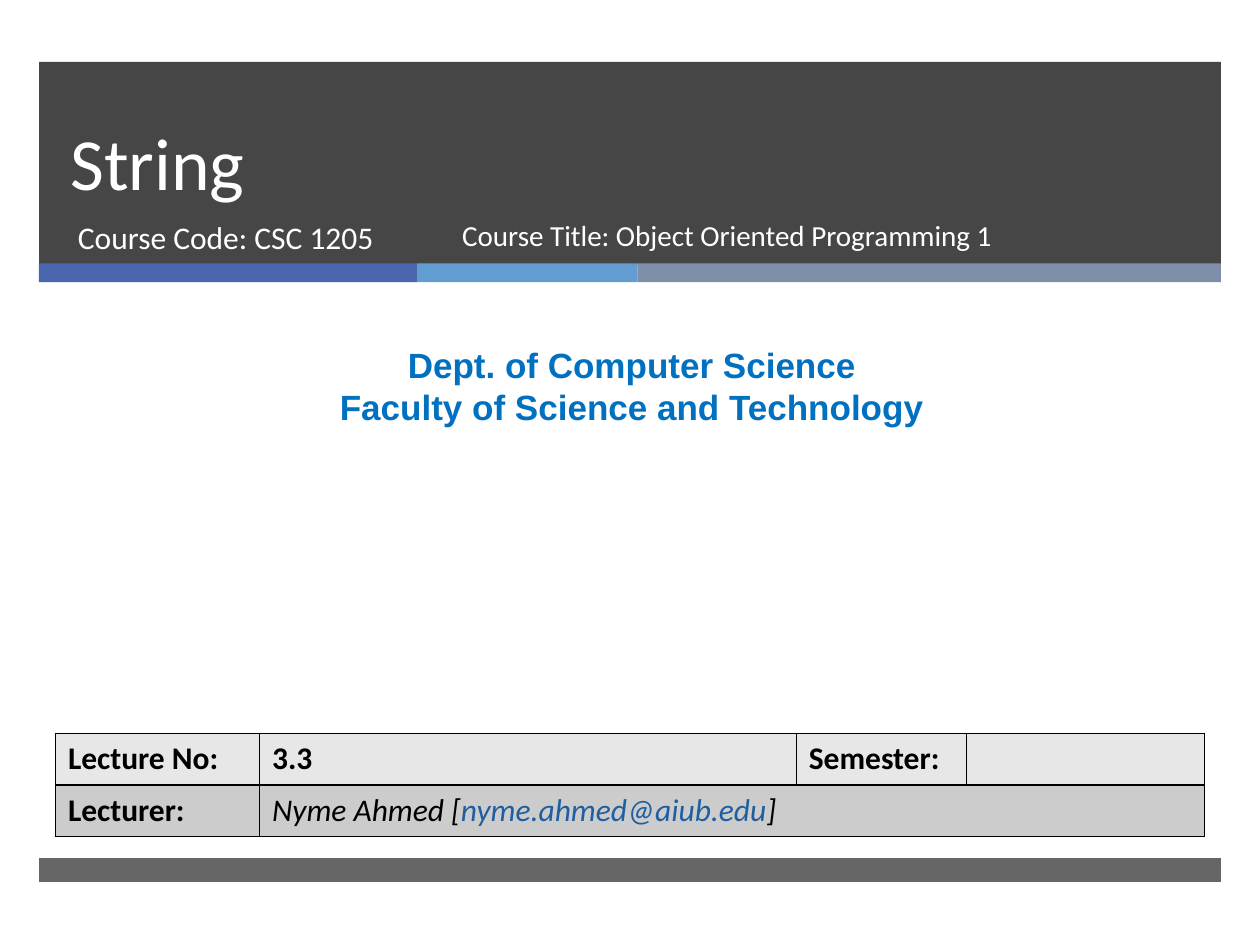
from itertools import product

from lxml.etree import SubElement
from pptx import Presentation
from pptx.dml.color import RGBColor
from pptx.enum.shapes import MSO_SHAPE as Shape
from pptx.enum.text import MSO_ANCHOR as Anchor, PP_ALIGN as Align
from pptx.oxml.ns import qn
from pptx.util import Inches, Pt

THEME = {
    "band": "262626", "stripes": ["4A66AC", "629DD1", "7F8FA9"],
    "light": "FFFFFF", "dark": "000000", "department": "0070C0", "email": "1F5FA0",
    "rows": ["E7E7E7", "CCCCCC"],
    "body": "Calibri", "heading": "Arial",
    "title_size": 42, "title_leading": 46, "text_size": 18,
    "course_size": 16.6, "department_size": 20,
}

TITLE = "String"
COURSE_CODE = "Course Code: CSC 1205"
COURSE_TITLE = "Course Title: Object Oriented Programming 1"
DEPARTMENT = ["Dept. of Computer Science", "Faculty of Science and Technology"]
LECTURE_ROW = ["Lecture No:", "3.3", "Semester:"]
LECTURER_LABEL = "Lecturer:"
LECTURER = [("Nyme Ahmed [", "dark"), ("nyme.ahmed@aiub.edu", "email"), ("]", "dark")]

MARGIN, BAND_WIDTH = 0.31, 9.38
STRIPE_WIDTHS = [3, 1.75, 4.63]
COLUMN_WIDTHS = [1.62, 4.26, 1.35, 1.89]
ROW_HEIGHT = 0.41


def color(value):
    return RGBColor.from_string(value)


def add_band(slide, left, top, width, height, fill, opacity=100):
    band = slide.shapes.add_shape(Shape.RECTANGLE, *map(Inches, (left, top, width, height)))
    band.shadow.inherit = False
    band.line.fill.background()
    band.fill.solid()
    band.fill.fore_color.rgb = color(fill)
    if opacity < 100:
        rgb = band.fill._xPr.find(".//" + qn("a:srgbClr"))
        SubElement(rgb, qn("a:alpha"), val=str(opacity * 1000))


def add_span(para, text, size=THEME["text_size"], font=THEME["body"],
             ink=THEME["dark"], bold=False, italic=False):
    span = para.add_run()
    span.text = text
    span.font.size, span.font.name = Pt(size), font
    span.font.bold, span.font.italic = bold, italic
    span.font.color.rgb = color(ink)


def add_text(slide, place, lines, align=Align.LEFT, anchor=Anchor.TOP, leading=None, **style):
    frame = slide.shapes.add_textbox(*map(Inches, place)).text_frame
    frame.word_wrap = True
    frame.vertical_anchor = anchor
    for index, line in enumerate(lines):
        para = frame.add_paragraph() if index else frame.paragraphs[0]
        para.alignment = align
        if leading:
            para.line_spacing = Pt(leading)
        add_span(para, line, **style)


def add_borders(cell):
    properties = cell._tc.get_or_add_tcPr()
    for position, side in enumerate(("a:lnL", "a:lnR", "a:lnT", "a:lnB")):
        line = properties.makeelement(qn(side), {"w": str(Pt(1))})
        SubElement(SubElement(line, qn("a:solidFill")), qn("a:srgbClr"), val=THEME["dark"])
        properties.insert(position, line)


def add_lecture_table(slide):
    row_count, column_count = len(THEME["rows"]), len(COLUMN_WIDTHS)
    table = slide.shapes.add_table(
        row_count, column_count, Inches(0.44), Inches(5.82),
        Inches(sum(COLUMN_WIDTHS)), Inches(row_count * ROW_HEIGHT)).table
    for column, width in zip(table.columns, COLUMN_WIDTHS):
        column.width = Inches(width)
    for row in table.rows:
        row.height = Inches(ROW_HEIGHT)
    for row, column in product(range(row_count), range(column_count)):
        cell = table.cell(row, column)
        cell.fill.solid()
        cell.fill.fore_color.rgb = color(THEME["rows"][row])
        add_borders(cell)
    table.cell(1, 1).merge(table.cell(1, column_count - 1))

    for column, text in enumerate(LECTURE_ROW):
        add_span(table.cell(0, column).text_frame.paragraphs[0], text, bold=True)
    add_span(table.cell(1, 0).text_frame.paragraphs[0], LECTURER_LABEL, bold=True)
    lecturer = table.cell(1, 1).text_frame.paragraphs[0]
    for text, ink in LECTURER:
        add_span(lecturer, text, ink=THEME[ink], italic=True)


def main():
    deck = Presentation()
    deck.slide_width, deck.slide_height = Inches(10), Inches(7.5)
    slide = deck.slides.add_slide(deck.slide_layouts[6])

    add_band(slide, MARGIN, 0.49, BAND_WIDTH, 1.61, THEME["band"], opacity=85)
    left = MARGIN
    for width, fill in zip(STRIPE_WIDTHS, THEME["stripes"]):
        add_band(slide, left, 2.09, width, 0.15, fill)
        left += width
    add_band(slide, MARGIN, 6.81, BAND_WIDTH, 0.19, THEME["band"], opacity=70)

    add_text(slide, (0.46, 0.49, 8.54, 1.19), [TITLE], anchor=Anchor.BOTTOM,
             leading=THEME["title_leading"], size=THEME["title_size"], ink=THEME["light"])
    add_text(slide, (0.52, 1.68, 3.05, 0.53), [COURSE_CODE], ink=THEME["light"])
    add_text(slide, (0.08, 2.68, 9.87, 0.77), DEPARTMENT, align=Align.CENTER, bold=True,
             size=THEME["department_size"], font=THEME["heading"], ink=THEME["department"])
    add_text(slide, (3.57, 1.68, 4.61, 0.53), [COURSE_TITLE],
             size=THEME["course_size"], ink=THEME["light"])
    add_lecture_table(slide)
    deck.save("out.pptx")


if __name__ == "__main__":
    main()
